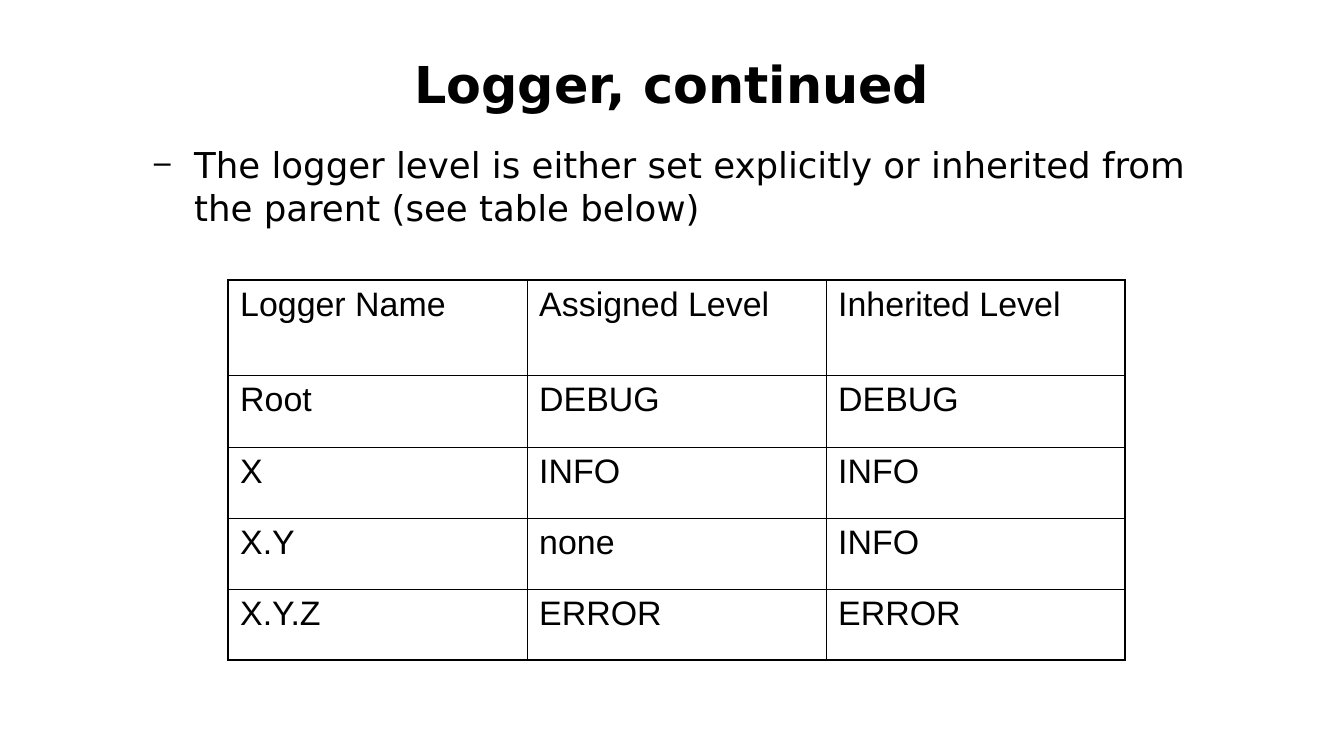
from lxml import etree
from pptx import Presentation, util as u
from pptx.dml.color import RGBColor
from pptx.enum import text
from pptx.oxml import ns

BLACK = RGBColor(0, 0, 0)
WHITE = RGBColor(255, 255, 255)
THICK, THIN = u.Pt(1.08), u.Pt(0.45)


def px(*vals):
    return [u.Emu(round(v * 914400 / 122)) for v in vals]


def add_run(para, words, face, size, bold=False):
    run = para.add_run()
    run.text = words
    font = run.font
    font.name, font.size, font.bold = face, u.Pt(size), bold
    font.color.rgb = BLACK


deck = Presentation()
deck.slide_width, deck.slide_height = px(1344, 756)
slide = deck.slides.add_slide(deck.slide_layouts[1])
slide.background.fill.solid()
slide.background.fill.fore_color.rgb = WHITE

# Title and body frames
title, body = slide.shapes.title, slide.placeholders[1]
for shape, box, anchor in (
    (title, (67, 31, 1210, 89), text.MSO_ANCHOR.BOTTOM),
    (body, (67, 137, 1183, 586), text.MSO_ANCHOR.TOP),
):
    shape.left, shape.top, shape.width, shape.height = px(*box)
    frame = shape.text_frame
    frame.word_wrap = True
    frame.auto_size = text.MSO_AUTO_SIZE.NONE
    frame.vertical_anchor = anchor

# Title
para = title.text_frame.paragraphs[0]
para.alignment = text.PP_ALIGN.CENTER
add_run(para, "Logger, continued", "DejaVu Sans", 30, True)

# Dashed list item
para = body.text_frame.paragraphs[0]
para.level = 1
para.space_before = u.Pt(0)
props = para._p.get_or_add_pPr()
indent, hang = px(115, -43)
props.set("marL", str(indent))
props.set("indent", str(hang))
color = etree.SubElement(props, ns.qn("a:buClr"))
etree.SubElement(color, ns.qn("a:srgbClr"), val=str(BLACK))
etree.SubElement(props, ns.qn("a:buSzPct"), val="75000")
etree.SubElement(props, ns.qn("a:buFont"), typeface="DejaVu Sans")
etree.SubElement(props, ns.qn("a:buChar"), char="−")
add_run(
    para,
    "The logger level is either set explicitly or inherited from "
    "the parent (see table below)",
    "DejaVu Sans", 21,
)

# Table of levels
rows = [
    ("Logger Name", "Assigned Level", "Inherited Level"),
    ("Root", "DEBUG", "DEBUG"),
    ("X", "INFO", "INFO"),
    ("X.Y", "none", "INFO"),
    ("X.Y.Z", "ERROR", "ERROR"),
]
last_row, last_col = len(rows) - 1, len(rows[0]) - 1
table = slide.shapes.add_table(
    len(rows), len(rows[0]), *px(228, 280, 897, 380)
).table
table.first_row = table.horz_banding = False
for col in table.columns:
    col.width = px(299)[0]
for row, high in zip(table.rows, px(95, 72, 71, 71, 71)):
    row.height = high

# Cells: thick outer edges, thin inner ones
for r, row in enumerate(rows):
    for c, words in enumerate(row):
        cell = table.cell(r, c)
        cell.fill.background()
        add_run(cell.text_frame.paragraphs[0], words, "Arial", 20)
        edges = (("L", c == 0), ("R", c == last_col),
                 ("T", r == 0), ("B", r == last_row))
        props = cell._tc.get_or_add_tcPr()
        for spot, (side, outer) in enumerate(edges):
            line = etree.Element(ns.qn("a:ln" + side),
                                 w=str(THICK if outer else THIN))
            fill = etree.SubElement(line, ns.qn("a:solidFill"))
            etree.SubElement(fill, ns.qn("a:srgbClr"), val=str(BLACK))
            props.insert(spot, line)

deck.save("out.pptx")
